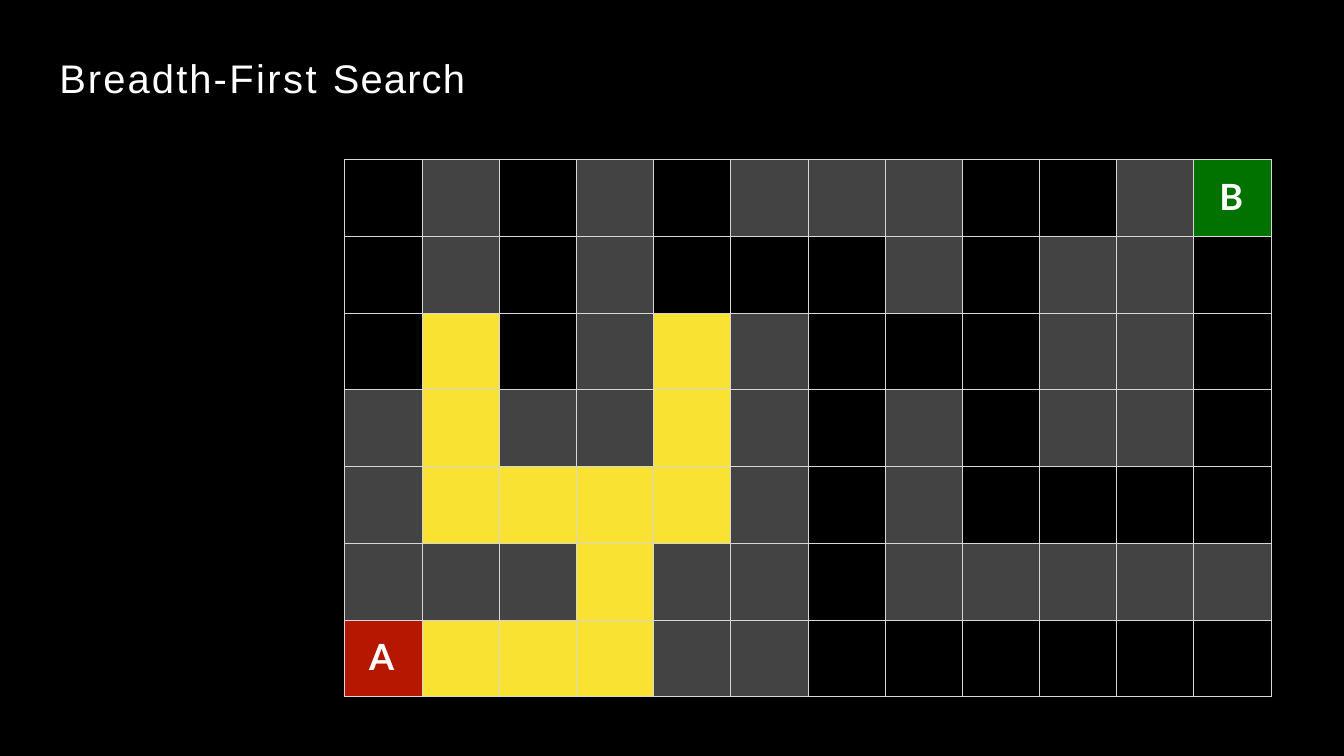
from lxml import etree
from pptx import Presentation
from pptx.dml.color import RGBColor
from pptx.enum.text import MSO_ANCHOR, PP_ALIGN
from pptx.oxml.ns import qn
from pptx.util import Inches, Pt

TOP = MSO_ANCHOR.TOP
LEFT = PP_ALIGN.LEFT
WHITE = "FFFFFF"
LINE = "D6D7D6"
FILLS = {"#": "434343", "*": "FAE232", "A": "B51700", "B": "017100"}
MAZE = [
    ".#.#.###..#B",
    ".#.#...#.##.",
    ".*.#*#...##.",
    "#*##*#.#.##.",
    "#****#.#....",
    "###*##.#####",
    "A***##......",
]
MARKS = {"A": (0.4, 0.25, 18, 4.2), "B": (0.42, 0.26, 18.5, 1.2)}


def color(code):
    return RGBColor.from_string(code)


class Deck:
    def __init__(self, width, height):
        self.show = Presentation()
        self.show.slide_width = Inches(width)
        self.show.slide_height = Inches(height)
        self.slide = self.show.slides.add_slide(self.show.slide_layouts[5])
        fill = self.slide.background.fill
        fill.solid()
        fill.fore_color.rgb = color("000000")

    def inset(self, box, left, top):
        box.margin_left, box.margin_top = Inches(left), Inches(top)
        box.margin_right = box.margin_bottom = 0
        box.vertical_anchor = TOP

    def text(self, para, runs, face, size, before, bold=False):
        para.alignment = LEFT
        para.space_before = Pt(before)
        font = para.font
        font.name, font.size, font.bold = face, Pt(size), bold
        font.color.rgb = color(WHITE)
        for words, gap in runs:
            run = para.add_run()
            run.text = words
            run.font._element.set("spc", str(round(gap * 100)))

    def title(self, runs, left, top, width, height):
        shape = self.slide.shapes.title
        shape.left, shape.top = Inches(left), Inches(top)
        shape.width, shape.height = Inches(width), Inches(height)
        frame = shape.text_frame
        frame.word_wrap = True
        self.inset(frame, 0.29, 0.44)
        self.text(frame.paragraphs[0], runs, "Arial", 47, 1)

    def border(self, cell):
        props = cell._tc.get_or_add_tcPr()
        for spot, side in enumerate(("a:lnL", "a:lnR", "a:lnT", "a:lnB")):
            line = etree.Element(qn(side), w=str(Pt(1)))
            fill = etree.SubElement(line, qn("a:solidFill"))
            etree.SubElement(fill, qn("a:srgbClr"), val=LINE)
            props.insert(spot, line)

    def cell(self, cell, mark):
        if mark in FILLS:
            cell.fill.solid()
            cell.fill.fore_color.rgb = color(FILLS[mark])
        else:
            cell.fill.background()
        self.border(cell)
        if mark in MARKS:
            left, top, before, gap = MARKS[mark]
            self.inset(cell, left, top)
            para = cell.text_frame.paragraphs[0]
            self.text(para, [(mark, gap)], "Lato", 42.5, before, True)

    def grid(self, maze, left, top, width, height):
        rows, cols = len(maze), len(maze[0])
        table = self.slide.shapes.add_table(
            rows, cols, Inches(left), Inches(top), Inches(width), Inches(height)
        ).table
        table.first_row = table.horz_banding = False
        for r, row in enumerate(maze):
            for c, mark in enumerate(row):
                self.cell(table.cell(r, c), mark)


def main():
    deck = Deck(21.99, 12.37)
    deck.grid(MAZE, 5.64, 2.61, 15.16, 8.79)
    words = [("Breadth-", 2.5), ("First ", 2.9), ("Search", 1.4)]
    deck.title(words, 0.68, 0.43, 12.93, 1.78)
    deck.show.save("out.pptx")


if __name__ == "__main__":
    main()
